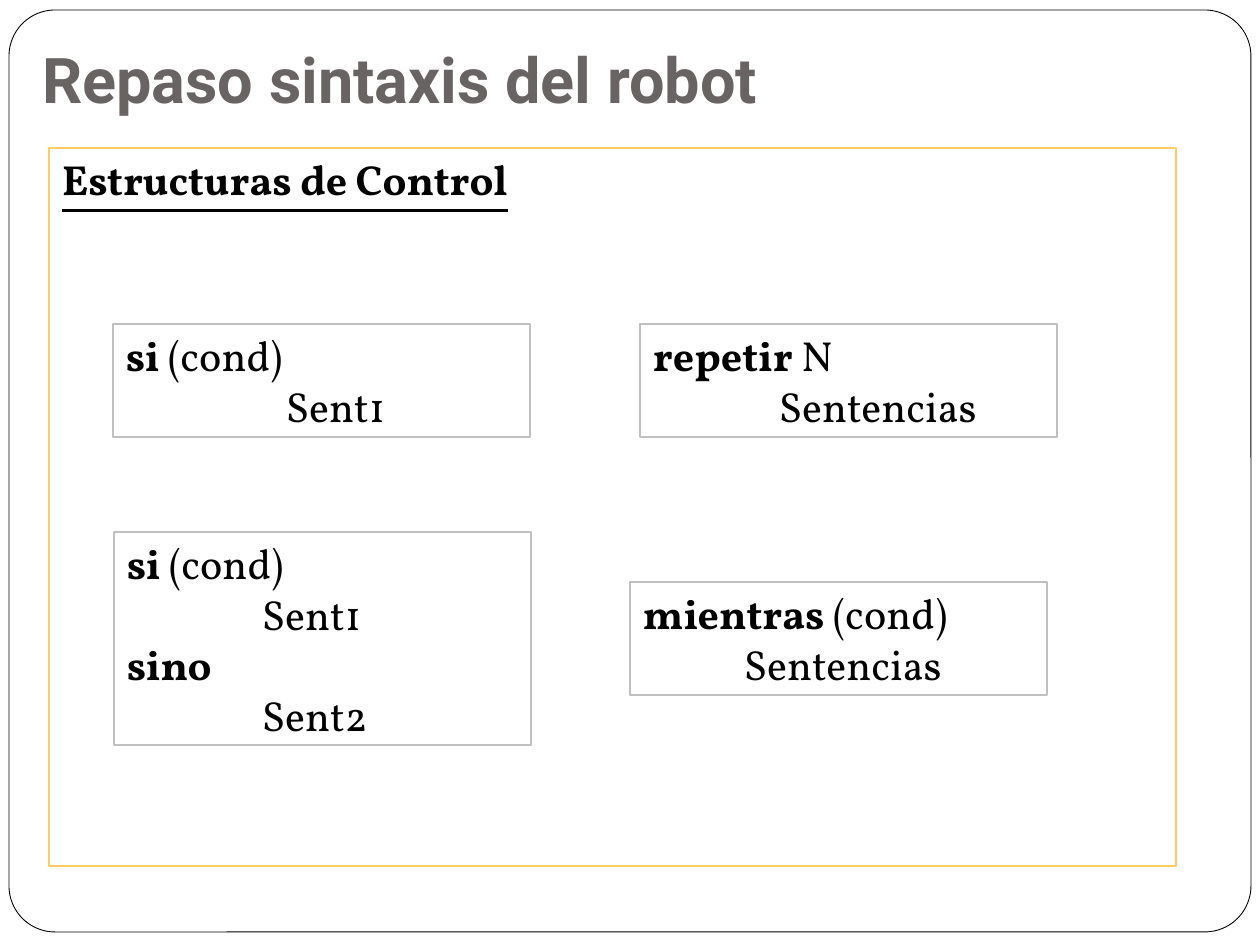
from lxml import etree
from pptx import Presentation
from pptx import util as u
from pptx.dml.color import RGBColor
from pptx.enum import shapes, text
from pptx.oxml.ns import qn

COLOURS = {"paper": "FFFFFF", "ink": "000000", "title": "696464",
           "frame": "FFCC66", "box": "C0C0C0"}
BOX_WIDTH, LINE_HEIGHT, INSET_X, INSET_Y = 417, 50, 13, 6


def px(length):
    return u.Emu(round(length * 914400 / 126))


def colour(name):
    return RGBColor.from_string(COLOURS[name])


class SlideBuilder:
    """Holds the style and the current slide."""
    title_font, body_font = "Roboto", "Vollkorn"
    title_size, body_size = u.Pt(36), u.Pt(24)

    def __init__(self, slide):
        self.slide = slide

    def span(self, para, words, bold=False, underline=False):
        span = para.add_run()
        span.text = words
        font = span.font
        font.name, font.size = self.body_font, self.body_size
        font.bold, font.underline = bold, underline
        font.color.rgb = colour("ink")
        return span

    def title(self, words, left, top, width, height):
        box = self.slide.shapes.title
        box.left, box.top, box.width, box.height = map(px, (left, top, width, height))
        frame = box.text_frame
        frame.auto_size = text.MSO_AUTO_SIZE.NONE
        frame.vertical_anchor = text.MSO_ANCHOR.BOTTOM
        frame.margin_left = frame.margin_right = frame.margin_bottom = px(INSET_X)
        frame.margin_top = px(INSET_Y)
        para = frame.paragraphs[0]
        para.alignment = text.PP_ALIGN.LEFT
        font = self.span(para, words, bold=True).font
        font.name, font.size = self.title_font, self.title_size
        font.color.rgb = colour("title")

    def shape(self, kind, left, top, width, height, line, weight=1):
        shape = self.slide.shapes.add_shape(kind, *map(px, (left, top, width, height)))
        shape.shadow.inherit = False
        shape.fill.background()
        shape.line.color.rgb = colour(line)
        shape.line.width = u.Pt(weight)
        return shape

    def border(self, left, top, width, height):
        border = self.shape(shapes.MSO_SHAPE.ROUNDED_RECTANGLE,
                            left, top, width, height, "ink", 0.5)
        border.adjustments[0] = 0.05
        border.fill.solid()
        border.fill.fore_color.rgb = colour("paper")
        # The border lies behind the title.
        tree = self.slide.shapes.title.element.getparent()
        tree.insert(2, border.element)

    def text_frame(self, left, top, width, height, line):
        box = self.shape(shapes.MSO_SHAPE.RECTANGLE, left, top, width, height, line)
        frame = box.text_frame
        frame.word_wrap = True
        frame.vertical_anchor = text.MSO_ANCHOR.TOP
        frame.margin_left = frame.margin_right = px(INSET_X)
        frame.margin_top = frame.margin_bottom = px(INSET_Y)
        return frame

    def panel(self, heading, left, top, width, height):
        para = self.text_frame(left, top, width, height, "frame").paragraphs[0]
        para.alignment = text.PP_ALIGN.LEFT
        self.span(para, heading, bold=True, underline=True)

    def syntax(self, left, top, indent, lines):
        """Draw a box of (keyword, rest) lines; those without keyword are indented."""
        height = len(lines) * LINE_HEIGHT + 2 * INSET_Y + 1
        frame = self.text_frame(left, top, BOX_WIDTH, height, "box")
        for number, (keyword, rest) in enumerate(lines):
            para = frame.add_paragraph() if number else frame.paragraphs[0]
            para.alignment = text.PP_ALIGN.LEFT
            if keyword:
                self.span(para, keyword, bold=True)
            else:
                properties = para._p.get_or_add_pPr()
                properties.set("marL", str(px(indent)))
                properties.set("indent", "0")
            if rest:
                self.span(para, rest)


def main():
    deck = Presentation()
    deck.slide_width, deck.slide_height = u.Inches(10), u.Inches(7.5)
    page = SlideBuilder(deck.slides.add_slide(deck.slide_layouts[5]))

    page.border(9, 10, 1242, 922)
    page.panel("Estructuras de Control", 49, 148, 1127, 718)
    page.title("Repaso sintaxis del robot", 29, -29, 1071, 158)

    page.syntax(113, 324, 160, [("si", " (cond)"), ("", "Sent1")])
    page.syntax(114, 532, 135, [("si", " (cond)"), ("", "Sent1"),
                                ("sino", ""), ("", "Sent2")])
    page.syntax(640, 324, 126, [("repetir", " N"), ("", "Sentencias")])
    page.syntax(630, 582, 101, [("mientras", " (cond)"), ("", "Sentencias")])

    deck.save("out.pptx")


if __name__ == "__main__":
    main()
